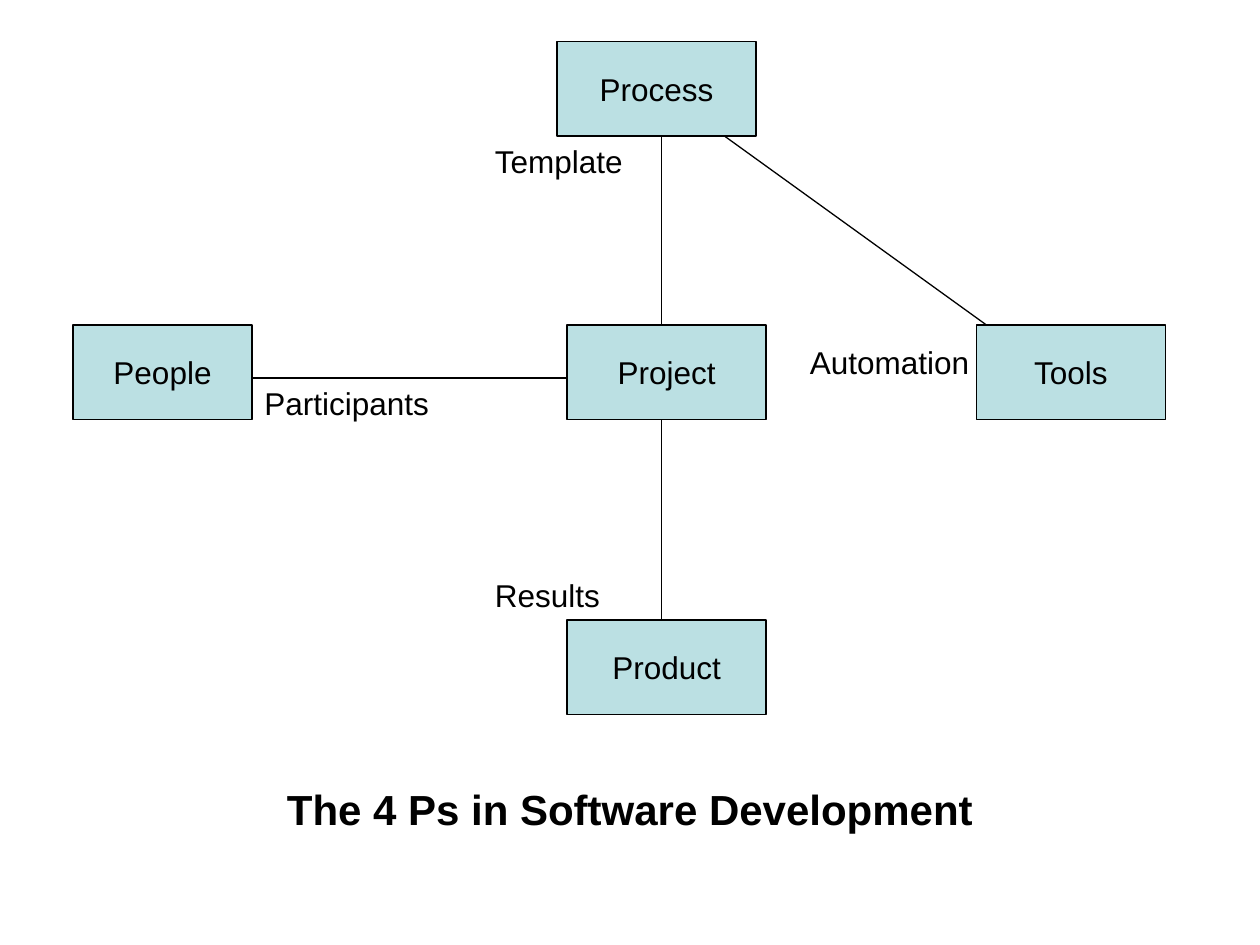
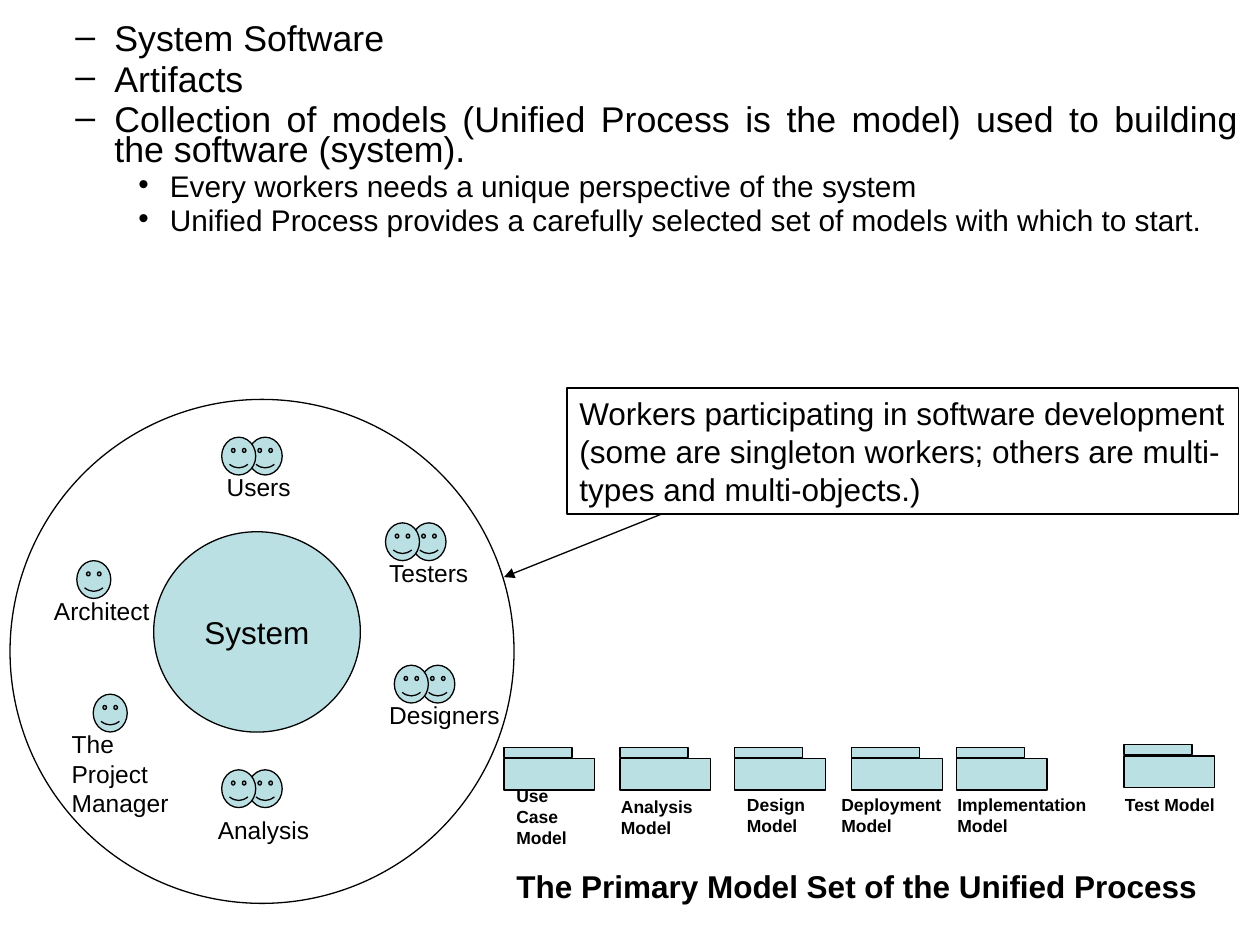
from lxml.etree import SubElement
from pptx import Presentation
from pptx.dml.color import RGBColor
from pptx.enum.shapes import MSO_CONNECTOR, MSO_SHAPE as SHAPE
from pptx.enum.text import MSO_ANCHOR, MSO_AUTO_SIZE, PP_ALIGN as ALIGN
from pptx.oxml.ns import qn
from pptx.util import Inches, Pt

FONT = "Arial"
INK, TEAL, WHITE = "000000", "BBE0E3", "FFFFFF"
LINE_WIDTH = 0.74


def rgb(value):
    """Turn a hex string into a colour."""
    return RGBColor.from_string(value)


class Deck:
    """Holds the shared style and the current slide."""

    def __init__(self):
        """Start a 10 by 7.5 inch presentation."""
        self.prs = Presentation()
        self.prs.slide_width, self.prs.slide_height = Inches(10), Inches(7.5)
        self.slide = None

    def new_slide(self):
        """Add a blank slide and make it current."""
        self.slide = self.prs.slides.add_slide(self.prs.slide_layouts[6])

    def format(self, p, size, bold=False, align=ALIGN.LEFT):
        """Give a paragraph and its runs the shared font."""
        p.alignment = align
        for r in p.runs:
            r.font.name, r.font.size, r.font.bold = FONT, Pt(size), bold
            r.font.color.rgb = rgb(INK)

    def shape(self, kind, x, y, w, h, fill=TEAL):
        """Add an outlined preset shape; fill None leaves it open."""
        sp = self.slide.shapes.add_shape(
            kind, Inches(x), Inches(y), Inches(w), Inches(h))
        sp.shadow.inherit = False
        if fill:
            sp.fill.solid()
            sp.fill.fore_color.rgb = rgb(fill)
        else:
            sp.fill.background()
        sp.line.color.rgb = rgb(INK)
        sp.line.width = Pt(LINE_WIDTH)
        return sp

    def node(self, text, x, y, w, h, kind=SHAPE.RECTANGLE):
        """Add a filled shape with a centred caption."""
        tf = self.shape(kind, x, y, w, h).text_frame
        tf.text = text
        tf.word_wrap = False
        tf.vertical_anchor = MSO_ANCHOR.MIDDLE
        self.format(tf.paragraphs[0], 18, align=ALIGN.CENTER)

    def text_box(self, x, y, w, h):
        """Add a wrapping text box and return its frame."""
        tf = self.slide.shapes.add_textbox(
            Inches(x), Inches(y), Inches(w), Inches(h)).text_frame
        tf.word_wrap = True
        return tf

    def label(self, text, x, y, w, h=0.4, size=18, bold=False):
        """Add a left-aligned label that grows with its text."""
        tf = self.text_box(x, y, w, h)
        tf.text = text
        tf.auto_size = MSO_AUTO_SIZE.SHAPE_TO_FIT_TEXT
        self.format(tf.paragraphs[0], size, bold)

    def title(self, text):
        """Add the bold centred title below a diagram."""
        tf = self.text_box(0.5, 6.25, 9, 0.45)
        tf.text = text
        p = tf.paragraphs[0]
        p.line_spacing, p.space_before = 0.8, Pt(6)
        self.format(p, 24, True, ALIGN.CENTER)

    def note(self, text, x, y, w, h):
        """Add an open outlined box with left-aligned text."""
        tf = self.shape(SHAPE.RECTANGLE, x, y, w, h, None).text_frame
        tf.text = text
        tf.word_wrap = True
        tf.vertical_anchor = MSO_ANCHOR.TOP
        self.format(tf.paragraphs[0], 18)

    def bullets(self, items, x, y, w, h):
        """Add a justified list from (level, text) pairs."""
        styles = {1: ("–", 20.4, 0.81, -0.31, 6), 2: ("•", 17, 1.25, -0.25, 5)}
        tf = self.text_box(x, y, w, h)
        for i, (level, text) in enumerate(items):
            mark, size, margin, indent, before = styles[level]
            p = tf.add_paragraph() if i else tf.paragraphs[0]
            p.text, p.level = text, level
            p.line_spacing, p.space_before = 0.7, Pt(before)
            self.format(p, size, align=ALIGN.JUSTIFY)
            pPr = p._p.get_or_add_pPr()
            pPr.set("marL", str(Inches(margin)))
            pPr.set("indent", str(Inches(indent)))
            SubElement(pPr, qn("a:buFont")).set("typeface", FONT)
            SubElement(pPr, qn("a:buChar")).set("char", mark)

    def line(self, x1, y1, x2, y2, arrow=False):
        """Add a straight line, with an arrowhead at its end if asked."""
        cx = self.slide.shapes.add_connector(
            MSO_CONNECTOR.STRAIGHT,
            Inches(x1), Inches(y1), Inches(x2), Inches(y2))
        cx.line.color.rgb = rgb(INK)
        cx.line.width = Pt(LINE_WIDTH)
        if arrow:
            SubElement(cx.line._get_or_add_ln(),
                       qn("a:tailEnd")).set("type", "triangle")
        SubElement(cx._element.spPr, qn("a:effectLst"))

    def worker(self, text, x, y, label_x, label_y, count, label_h=0.34):
        """Add one face, or two overlapping ones, with a role name."""
        for i in reversed(range(count)):
            self.shape(SHAPE.SMILEY_FACE, x + 0.21 * i, y, 0.27, 0.3)
        self.label(text, label_x, label_y, 1.09, label_h, 14)

    def folder(self, text, x, y, label_x, label_y, label_w, label_h):
        """Add a model folder, made of a body and a tab, with its name."""
        self.shape(SHAPE.RECTANGLE, x, y + 0.09, 0.72, 0.25)
        self.shape(SHAPE.RECTANGLE, x, y, 0.54, 0.08)
        self.label(text, label_x, label_y, label_w, label_h, 10, True)


def four_ps(deck):
    """Build the diagram of the four Ps."""
    deck.new_slide()
    deck.title("The 4 Ps in Software Development")
    for text, x, y, w in [("Process", 4.42, 0.33, 1.58),
                          ("Product", 4.5, 4.92, 1.58),
                          ("Tools", 7.75, 2.58, 1.5),
                          ("Project", 4.5, 2.58, 1.58),
                          ("People", 0.58, 2.58, 1.42)]:
        deck.node(text, x, y, w, 0.75)
    for ends in [(5.25, 1.08, 5.25, 2.58), (2, 3, 4.5, 3),
                 (5.75, 1.08, 7.83, 2.58), (5.25, 3.33, 5.25, 4.92)]:
        deck.line(*ends)
    for text, x, y, w in [("Template", 3.83, 1.08, 1.33),
                          ("Participants", 2, 3, 1.83),
                          ("Results", 3.83, 4.52, 1.83),
                          ("Automation", 6.33, 2.67, 1.83)]:
        deck.label(text, x, y, w)


def model_set(deck):
    """Build the slide of workers and models around the system."""
    deck.new_slide()
    deck.bullets([
        (1, "System Software"),
        (1, "Artifacts"),
        (1, "Collection of models (Unified Process is the model) used to "
            "building the software (system)."),
        (2, "Every workers needs a unique perspective of the system"),
        (2, "Unified Process provides a carefully selected set of models "
            "with which to start."),
    ], 0, 0.17, 9.92, 1.83)

    deck.shape(SHAPE.OVAL, 0.08, 3.17, 4, 4, WHITE)
    deck.node("System", 1.22, 4.22, 1.64, 1.59, SHAPE.OVAL)
    for worker in [("Analysis", 1.76, 6.11, 1.63, 6.42, 2),
                   ("Designers", 3.13, 5.28, 2.99, 5.51, 2),
                   ("Testers", 3.06, 4.15, 2.99, 4.38, 2),
                   ("Users", 1.76, 3.47, 1.7, 3.7, 2),
                   ("Architect", 0.61, 4.45, 0.33, 4.68, 1),
                   ("The Project Manager", 0.74, 5.51, 0.47, 5.74, 1, 0.8)]:
        deck.worker(*worker)

    deck.note("Workers participating in software development (some are "
              "singleton workers; others are multi-types and multi-objects.)",
              4.5, 3.08, 5.33, 1)
    deck.line(5.25, 4.08, 4, 4.58, arrow=True)

    for folder in [("Use Case Model", 4, 5.93, 4, 6.18, 0.8, 0.6),
                   ("Analysis Model", 4.92, 5.93, 4.83, 6.27, 0.81, 0.44),
                   ("Design Model", 5.83, 5.93, 5.83, 6.25, 0.81, 0.44),
                   ("Deployment Model", 6.76, 5.93, 6.58, 6.25, 1.17, 0.44),
                   ("Implementation Model", 7.59, 5.93, 7.5, 6.25, 1.35, 0.44),
                   ("Test Model", 8.92, 5.91, 8.83, 6.25, 1.08, 0.27)]:
        deck.folder(*folder)
    deck.label("The Primary Model Set of the Unified Process",
               4, 6.83, 5.75, bold=True)


deck = Deck()
four_ps(deck)
model_set(deck)
deck.prs.save("out.pptx")
